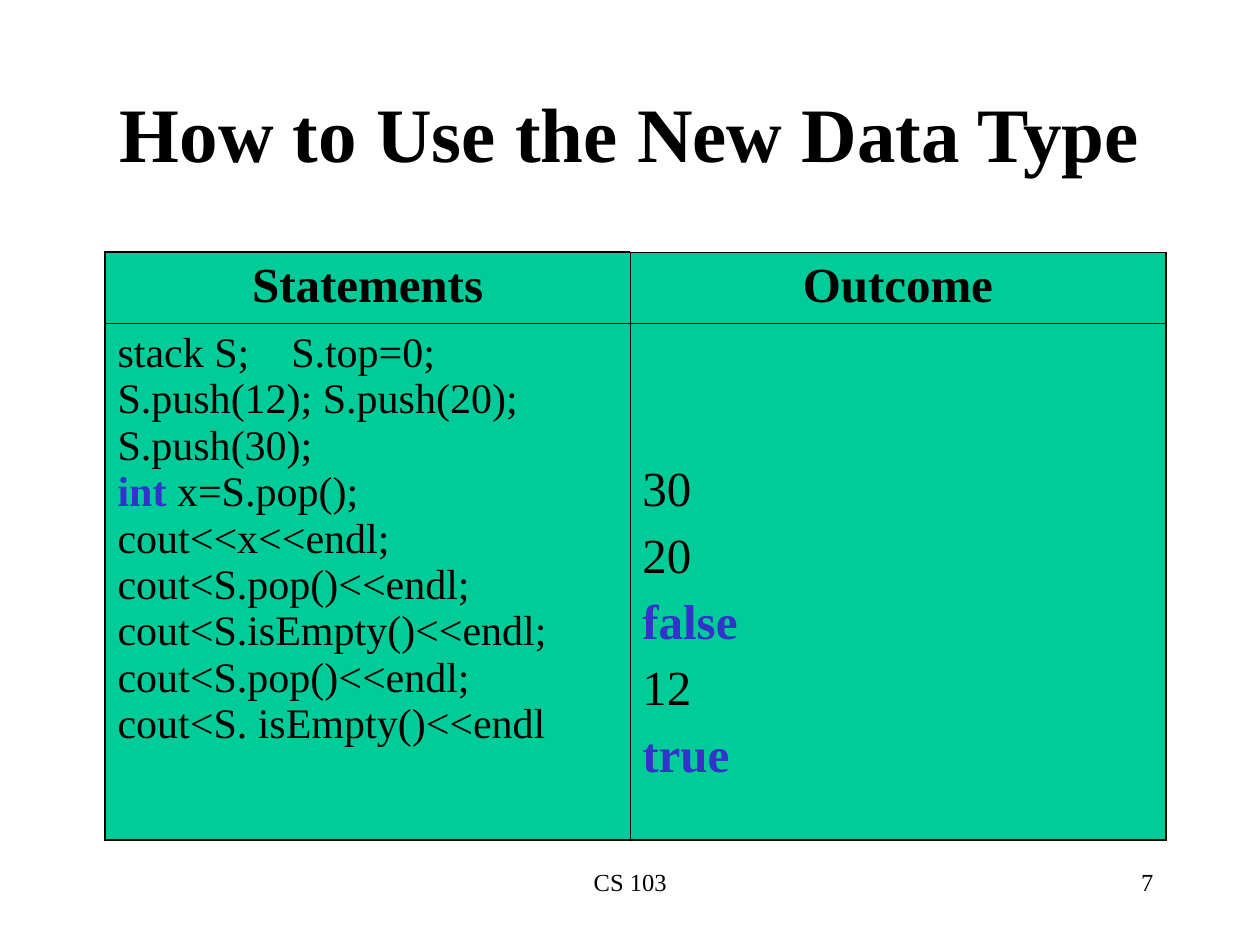
from lxml import etree
from pptx import Presentation
from pptx.dml.color import RGBColor
from pptx.enum.text import MSO_ANCHOR, PP_ALIGN
from pptx.oxml.ns import qn
from pptx.util import Cm, Pt

LEFT, CENTER = PP_ALIGN.LEFT, PP_ALIGN.CENTER
RIGHT, JUSTIFY = PP_ALIGN.RIGHT, PP_ALIGN.JUSTIFY
TOP, MIDDLE = MSO_ANCHOR.TOP, MSO_ANCHOR.MIDDLE
TITLE_ONLY = 5
FONT = "Times New Roman"
BLACK, KEYWORD, GREEN = "000000", "3333CC", "00CC99"
THIN, THICK = 0.45, 1.08
KEYWORDS = ("int", "false", "true")

STATEMENTS = [
    "stack S;    S.top=0;",
    "S.push(12); S.push(20);",
    "S.push(30);",
    "int x=S.pop();",
    "cout<<x<<endl;",
    "cout<S.pop()<<endl;",
    "cout<S.isEmpty()<<endl;",
    "cout<S.pop()<<endl;",
    "cout<S. isEmpty()<<endl",
]
OUTCOMES = ["30", "20", "false", "12", "true"]


def color(value):
    return RGBColor.from_string(value)


def add_span(para, text, size, bold=False, fill=BLACK):
    span = para.add_run()
    span.text = text
    span.font.name = FONT
    span.font.size = Pt(size)
    span.font.bold = bold
    span.font.color.rgb = color(fill)


def write(frame, lines, size=24, bold=False, align=LEFT, gap=0):
    for index, line in enumerate(lines):
        para = frame.paragraphs[0] if index == 0 else frame.add_paragraph()
        para.alignment = align
        para.space_before = Pt(gap if index else 0)
        first = line.split(" ")[0]
        if first in KEYWORDS:
            add_span(para, first, size, True, KEYWORD)
            line = line[len(first):]
        if line:
            add_span(para, line, size, bold)


class Lecture:
    """Holds the deck and the current page, and adds each kind of element."""

    def __init__(self):
        self.deck = Presentation()
        self.deck.slide_width, self.deck.slide_height = Cm(25.4), Cm(19.05)
        self.page = self.deck.slides.add_slide(self.deck.slide_layouts[TITLE_ONLY])

    def title(self, text, left, top, width, height):
        box = self.page.shapes.title
        box.left, box.top, box.width, box.height = map(Cm, (left, top, width, height))
        box.text_frame.vertical_anchor = MIDDLE
        write(box.text_frame, [text], size=44, bold=True, align=CENTER)

    def footer(self, text, left, width, align):
        box = self.page.shapes.add_textbox(Cm(left), Cm(17.35), Cm(width), Cm(1.27))
        box.text_frame.word_wrap = True
        write(box.text_frame, [text], size=14, align=align)

    def table(self, left, top, widths, heights):
        frame = self.page.shapes.add_table(
            len(heights), len(widths), Cm(left), Cm(top), Cm(sum(widths)), Cm(sum(heights)))
        table = frame.table
        table.first_row = table.horz_banding = False
        for column, width in zip(table.columns, widths):
            column.width = Cm(width)
        for row, height in zip(table.rows, heights):
            row.height = Cm(height)
        return table

    def cell(self, cell, lines, thick, inset=0.13, **style):
        cell.fill.solid()
        cell.fill.fore_color.rgb = color(GREEN)
        cell.vertical_anchor = TOP
        cell.margin_left = cell.margin_right = Cm(0.25)
        cell.margin_top, cell.margin_bottom = Cm(inset), Cm(0.13)
        properties = cell._tc.get_or_add_tcPr()
        for index, side in enumerate("LRTB"):
            border = etree.Element(qn(f"a:ln{side}"))
            border.set("w", str(Pt(THICK if side in thick else THIN)))
            fill = etree.SubElement(border, qn("a:solidFill"))
            etree.SubElement(fill, qn("a:srgbClr")).set("val", BLACK)
            properties.insert(index, border)
        write(cell.text_frame, lines, **style)


def main():
    lecture = Lecture()
    lecture.title("How to Use the New Data Type", 1.9, 1.7, 21.6, 1.9)
    table = lecture.table(2.12, 5.08, widths=(10.58, 10.8), heights=(1.44, 10.41))
    header = {"size": 28, "bold": True, "align": CENTER}
    lecture.cell(table.cell(0, 0), ["Statements"], "LT", **header)
    lecture.cell(table.cell(0, 1), ["Outcome"], "R", **header)
    lecture.cell(table.cell(1, 0), STATEMENTS, "LB", align=JUSTIFY)
    lecture.cell(table.cell(1, 1), OUTCOMES, "RB", inset=2.81, size=28, gap=7)
    lecture.footer("CS 103", 8.68, 8.05, CENTER)
    lecture.footer("7", 18.2, 5.3, RIGHT)
    lecture.deck.save("out.pptx")


if __name__ == "__main__":
    main()
